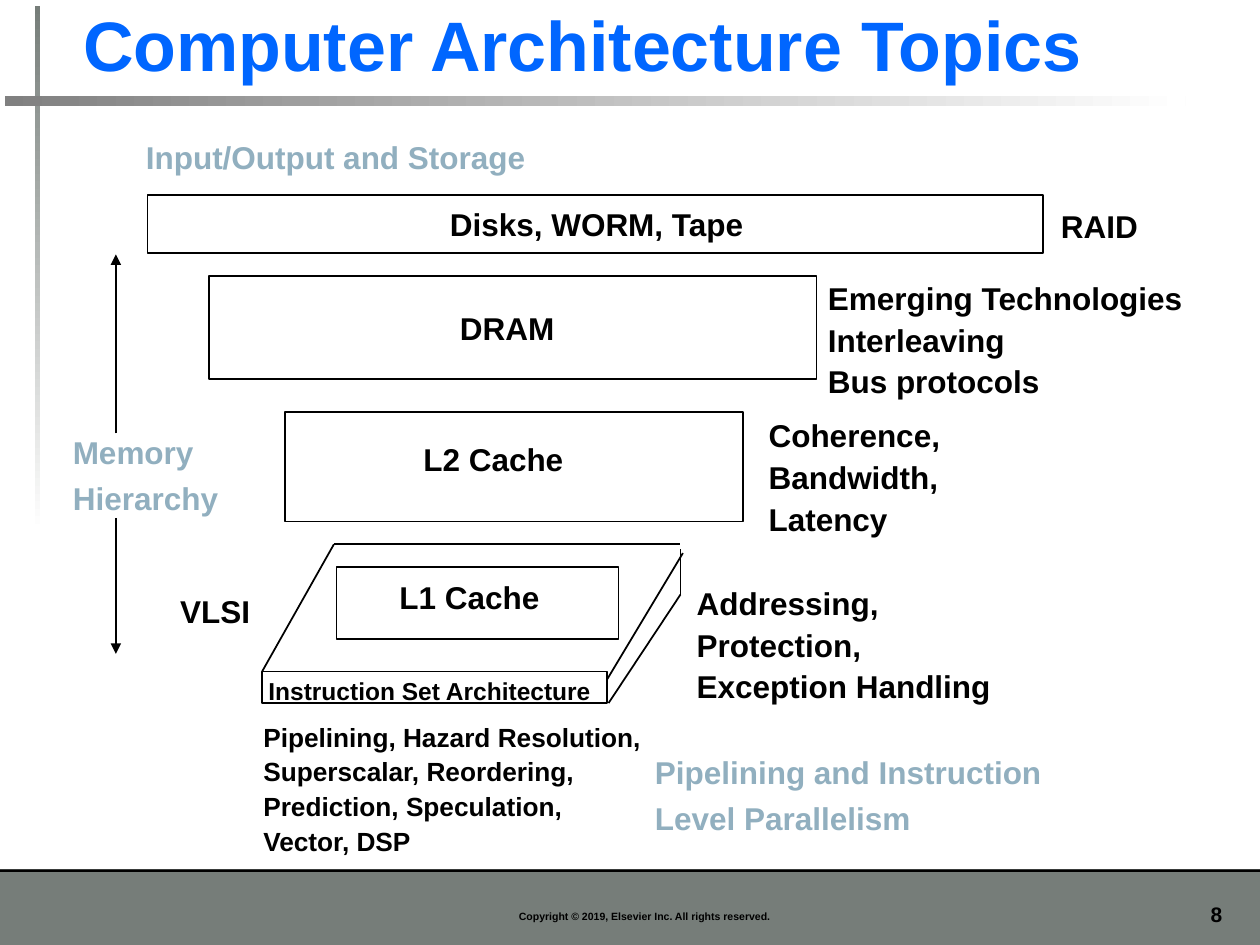
import pptx
import pptx.util
import pptx.dml.color
import pptx.enum.shapes
import pptx.enum.text
from pptx.oxml.ns import qn
from lxml import etree

Inches, Pt = pptx.util.Inches, pptx.util.Pt
PP_ALIGN = pptx.enum.text.PP_ALIGN
ANCHOR = pptx.enum.text.MSO_ANCHOR
BLACK, WHITE, GRAY, STEEL, BLUE = "000000", "FFFFFF", "767D79", "91AFBF", "0066FF"
TIGHT, ROOMY = (0.07, 0.03), (0.1, 0.05)


def color(hex_code):
    return pptx.dml.color.RGBColor.from_string(hex_code)


class TopicSlide:
    font = "Arial"

    def __init__(self, slide):
        self.slide = slide
        self.shapes = slide.shapes

    def set_lines(self, frame, lines, size, ink, align=PP_ALIGN.LEFT, spacing=None):
        for index, line in enumerate(lines):
            paragraph = frame.paragraphs[0] if index == 0 else frame.add_paragraph()
            paragraph.text = line
            paragraph.alignment = align
            if spacing:
                paragraph.line_spacing = spacing
            if index:
                paragraph.space_before = Pt(round(size * 0.24, 1))
            paragraph.font.name = self.font
            paragraph.font.size = Pt(size)
            paragraph.font.bold = True
            paragraph.font.color.rgb = color(ink)

    def title(self, text, left, top, width, height):
        title = self.shapes.title
        title.left, title.top = Inches(left), Inches(top)
        title.width, title.height = Inches(width), Inches(height)
        title.text_frame.vertical_anchor = ANCHOR.BOTTOM
        title.text_frame.auto_size = pptx.enum.text.MSO_AUTO_SIZE.SHAPE_TO_FIT_TEXT
        self.set_lines(title.text_frame, [text], 40, BLUE)

    def text(self, lines, left, top, width, height, size=18, ink=BLACK, inset=ROOMY,
             wrap=False, grow=True, anchor=ANCHOR.TOP, align=PP_ALIGN.LEFT, spacing=None):
        box = self.shapes.add_textbox(Inches(left), Inches(top), Inches(width), Inches(height))
        frame = box.text_frame
        frame.word_wrap = wrap
        frame.vertical_anchor = anchor
        if grow:
            frame.auto_size = pptx.enum.text.MSO_AUTO_SIZE.SHAPE_TO_FIT_TEXT
        frame.margin_left = frame.margin_right = Inches(inset[0])
        frame.margin_top = frame.margin_bottom = Inches(inset[1])
        self.set_lines(frame, lines, size, ink, align, spacing)

    def label(self, lines, left, top, width, height, size=18, wrap=False):
        self.text(lines, left, top, width, height, size, inset=TIGHT, wrap=wrap, spacing=0.9)

    def rectangle(self, left, top, width, height):
        box = self.shapes.add_shape(pptx.enum.shapes.MSO_SHAPE.RECTANGLE, Inches(left),
                                    Inches(top), Inches(width), Inches(height))
        box.shadow.inherit = False
        return box

    def band(self, left, top, width, height, fill):
        box = self.rectangle(left, top, width, height)
        box.line.fill.background()
        box.fill.solid()
        box.fill.fore_color.rgb = color(fill)

    def fading_bar(self, left, top, width, height, start, angle):
        bar = self.rectangle(left, top, width, height)
        bar.line.fill.background()
        bar.fill.gradient()
        bar.fill.gradient_angle = angle
        for stop, shade in zip(bar.fill.gradient_stops, (start, WHITE)):
            stop.color.rgb = color(shade)

    def outline(self, left, top, width, height):
        box = self.rectangle(left, top, width, height)
        box.fill.background()
        box.line.color.rgb = color(BLACK)
        box.line.width = Pt(1)

    def line(self, start, end, arrow=False):
        line = self.shapes.add_connector(pptx.enum.shapes.MSO_CONNECTOR.STRAIGHT,
                                         *map(Inches, start + end))
        line.line.color.rgb = color(BLACK)
        line.line.width = Pt(1)
        properties = line._element.spPr
        if arrow:
            etree.SubElement(properties.find(qn("a:ln")), qn("a:tailEnd"), type="triangle")
        etree.SubElement(properties, qn("a:effectLst"))


def main():
    deck = pptx.Presentation()
    deck.slide_width, deck.slide_height = Inches(10), Inches(7.5)
    page = TopicSlide(deck.slides.add_slide(deck.slide_layouts[5]))

    # Frame, title and footer
    page.band(0, 6.9, 10, 0.6, GRAY)
    page.band(0, 6.9, 10, 0.02, BLACK)
    page.fading_bar(0.28, 0.05, 0.04, 4.17, GRAY, 270)
    page.fading_bar(0.04, 0.76, 9.37, 0.08, "808080", 0)
    page.title("Computer Architecture Topics", 0.56, -0.04, 9.06, 0.77)
    page.text(["8"], 9.17, 7.11, 0.63, 0.3, size=12, wrap=True, align=PP_ALIGN.RIGHT)
    page.text(["Copyright © 2019, Elsevier Inc. All rights reserved."], 1.14, 6.98, 7.95, 0.39,
              size=6, wrap=True, grow=False, anchor=ANCHOR.BOTTOM, align=PP_ALIGN.CENTER)

    # Slab of the instruction set architecture
    page.outline(2.08, 5.33, 2.74, 0.25)
    for start, end in [((2.08, 5.33), (2.65, 4.32)), ((2.65, 4.32), (5.4, 4.32)),
                       ((5.42, 4.39), (4.82, 5.39)), ((5.4, 4.36), (5.4, 4.72)),
                       ((5.4, 4.72), (4.83, 5.58))]:
        page.line(start, end)
    page.label(["Instruction Set Architecture"], 2.06, 5.36, 2.71, 0.27, size=14, wrap=True)

    # Memory levels: outline, name and place of the name
    levels = [
        ((1.17, 1.55, 7.11, 0.46), "Disks, WORM, Tape", (3.5, 1.63, 2.49, 0.33)),
        ((1.66, 2.19, 4.82, 0.82), "DRAM", (3.58, 2.46, 0.9, 0.3)),
        ((2.26, 3.27, 3.64, 0.87), "L2 Cache", (3.29, 3.5, 1.26, 0.3)),
        ((2.67, 4.5, 2.24, 0.57), "L1 Cache", (3.1, 4.59, 1.26, 0.33)),
    ]
    for box, name, place in levels:
        page.outline(*box)
        page.label([name], *place)

    # Topics beside the levels
    page.label(["RAID"], 8.35, 1.65, 0.76, 0.33)
    page.label(["Emerging Technologies", "Interleaving", "Bus protocols"], 6.5, 2.22, 2.98, 0.9)
    page.label(["Coherence,", "Bandwidth,", "Latency"], 6.03, 3.31, 1.51, 1)
    page.label(["Addressing,", "Protection,", "Exception Handling"], 5.46, 4.64, 2.5, 1)
    page.label(["VLSI"], 1.36, 4.7, 0.7, 0.33)
    page.label(["Pipelining, Hazard Resolution,", "Superscalar, Reordering,",
                "Prediction, Speculation,", "Vector, DSP"], 2.02, 5.72, 3.16, 1.12, size=15)

    # Subject areas and the extent of the memory hierarchy
    page.text(["Input/Output and Storage"], 1.06, 1.05, 3.24, 0.4, ink=STEEL)
    page.text(["Memory", "Hierarchy"], 0.48, 3.39, 1.36, 0.7, ink=STEEL)
    page.text(["Pipelining and Instruction", "Level Parallelism"], 5.1, 5.93, 3.37, 0.76, ink=STEEL)
    page.line((0.92, 3.44), (0.92, 2.02), arrow=True)
    page.line((0.92, 4.11), (0.92, 5.19), arrow=True)

    deck.save("out.pptx")


if __name__ == "__main__":
    main()
